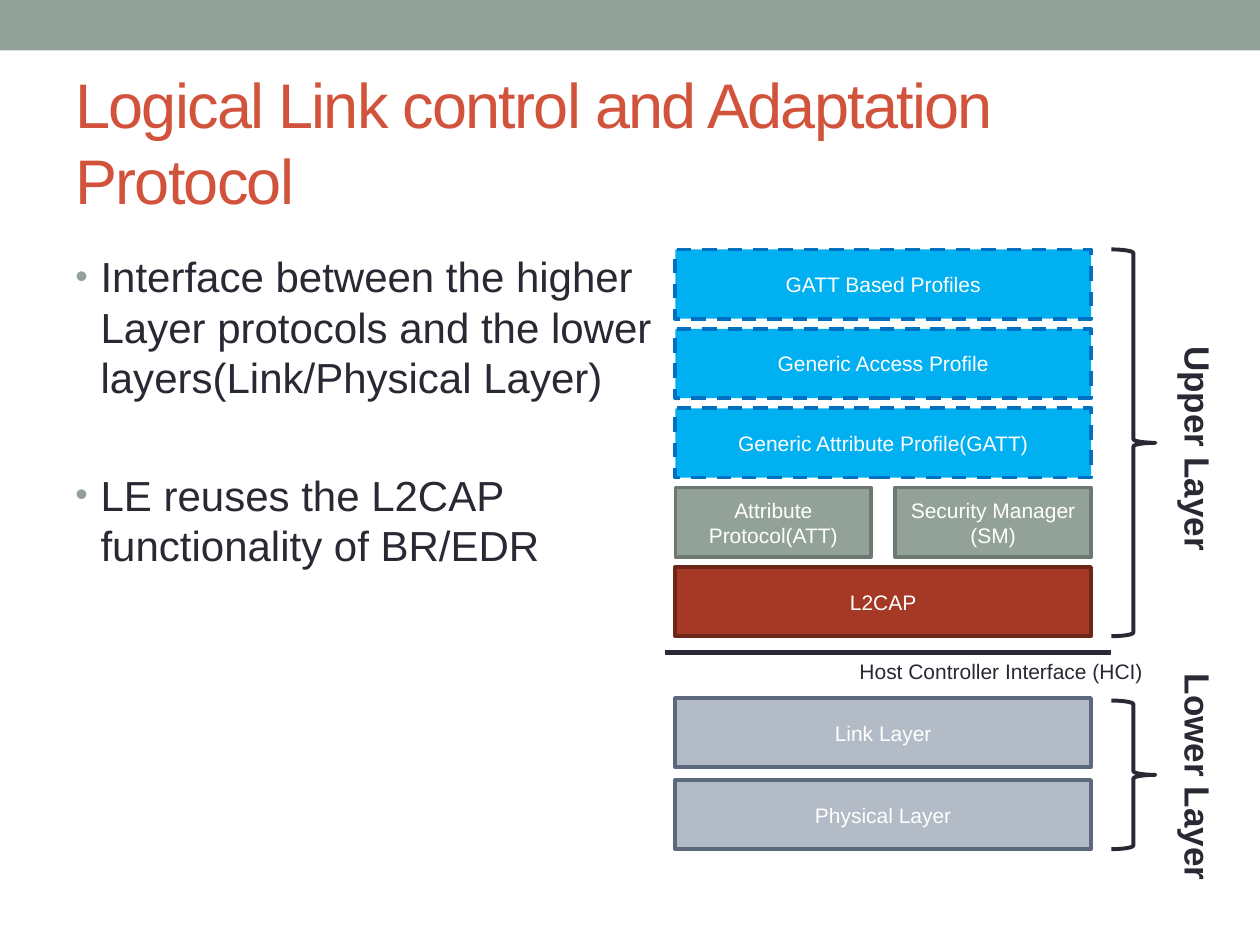
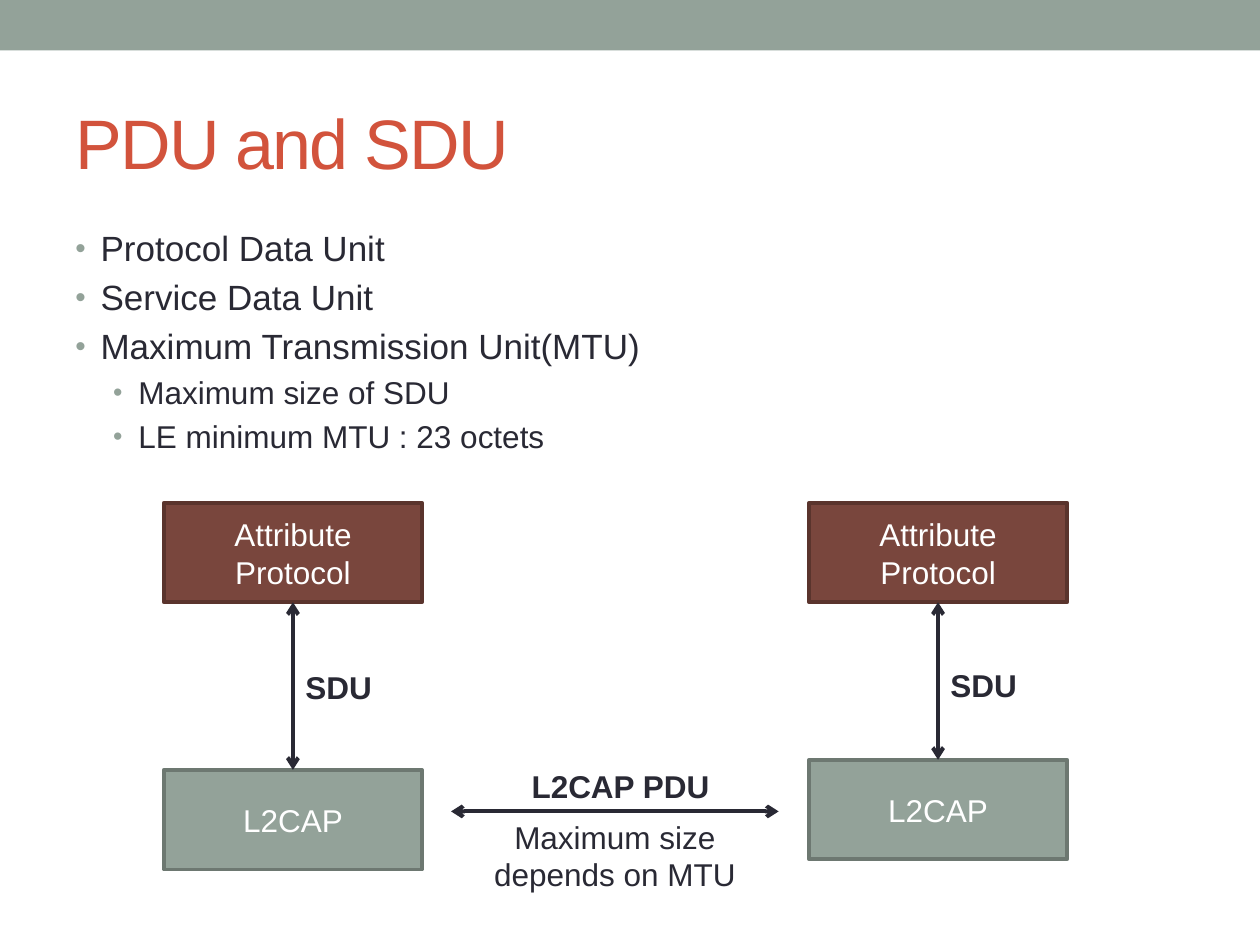
"""Build two slides on the L2CAP layer: the protocol stack, then PDU and SDU."""
from lxml.etree import SubElement
from pptx import Presentation
from pptx.dml.color import RGBColor
from pptx.enum.dml import MSO_LINE
from pptx.enum.shapes import MSO_CONNECTOR as LinkKind, MSO_SHAPE as ShapeKind
from pptx.enum.text import MSO_ANCHOR as Anchor, PP_ALIGN as Align
from pptx.oxml.ns import qn
from pptx.util import Pt

WHITE = RGBColor(0xFF, 0xFF, 0xFF)
INK = RGBColor(0x29, 0x29, 0x34)
SAGE = RGBColor(0x93, 0xA2, 0x99)
SAGE_EDGE = RGBColor(0x6D, 0x78, 0x71)
CORAL = RGBColor(0xD2, 0x53, 0x3C)
SKY = RGBColor(0x00, 0xB0, 0xF0)
SKY_EDGE = RGBColor(0x00, 0x70, 0xC0)
SLATE = RGBColor(0xB3, 0xBB, 0xC6)
SLATE_EDGE = RGBColor(0x5C, 0x69, 0x7C)
BRICK = RGBColor(0xA5, 0x39, 0x26)
BRICK_EDGE = RGBColor(0x6E, 0x26, 0x19)
BROWN = RGBColor(0x79, 0x46, 0x3D)
BROWN_EDGE = RGBColor(0x5A, 0x34, 0x2D)

FONT = "Arial"
EDGE_WIDTH = 2.08
LINK_WIDTH = 2.25
INDENT = 14.4


def set_all(target, values):
    for name, value in values.items():
        setattr(target, name, value)


def write(para, text, size, color, bold=False):
    span = para.add_run()
    span.text = text
    set_all(span.font, {"name": FONT, "size": Pt(size), "bold": bold})
    span.font.color.rgb = color
    return span


def add_text(page, place, text, size, color=INK, align=Align.LEFT, bold=False, anchor=Anchor.TOP):
    box = page.shapes.add_textbox(*map(Pt, place))
    set_all(box.text_frame, {"word_wrap": True, "vertical_anchor": anchor})
    para = box.text_frame.paragraphs[0]
    para.alignment = align
    span = write(para, text, size, color, bold)
    return box, span


def add_vertical_text(page, place, text, size):
    box, _ = add_text(page, place, text, size, bold=True)
    box.text_frame._txBody.bodyPr.set("vert", "eaVert")


def add_bullet(para, level):
    properties = para._p.get_or_add_pPr()
    margin = INDENT + level * 21.6
    properties.set("marL", str(Pt(margin)))
    properties.set("indent", str(-Pt(INDENT)))
    color = SubElement(properties, qn("a:buClr"))
    SubElement(color, qn("a:srgbClr"), val=str(SAGE))
    SubElement(properties, qn("a:buSzPct"), val="85000")
    SubElement(properties, qn("a:buFont"), typeface=FONT)
    SubElement(properties, qn("a:buChar"), char="•")


def add_bullets(page, place, items):
    """Add a bullet list from (text, level, size, space before) items."""
    frame = page.shapes.add_textbox(*map(Pt, place)).text_frame
    frame.word_wrap = True
    for number, (text, level, size, gap) in enumerate(items):
        para = frame.add_paragraph() if number else frame.paragraphs[0]
        set_all(para, {"level": level, "space_before": Pt(gap)})
        add_bullet(para, level)
        write(para, text, size, INK)


def add_box(page, place, text, size, fill, edge, dash=None):
    box = page.shapes.add_shape(ShapeKind.RECTANGLE, *map(Pt, place))
    box.shadow.inherit = False
    box.fill.solid()
    box.fill.fore_color.rgb = fill
    box.line.color.rgb = edge
    set_all(box.line, {"width": Pt(EDGE_WIDTH), "dash_style": dash})
    set_all(box.text_frame, {"word_wrap": True, "vertical_anchor": Anchor.MIDDLE})
    para = box.text_frame.paragraphs[0]
    para.alignment = Align.CENTER
    write(para, text, size, WHITE)


def add_brace(page, place):
    brace = page.shapes.add_shape(ShapeKind.RIGHT_BRACE, *map(Pt, place))
    brace.shadow.inherit = False
    brace.fill.background()
    brace.line.color.rgb = INK
    brace.line.width = Pt(LINK_WIDTH)


def add_line(page, ends, width=LINK_WIDTH, arrows=False):
    link = page.shapes.add_connector(LinkKind.STRAIGHT, *map(Pt, ends))
    link.line.color.rgb = INK
    link.line.width = Pt(width)
    if arrows:
        for end in ("a:headEnd", "a:tailEnd"):
            SubElement(link.line._get_or_add_ln(), qn(end), type="arrow")
    SubElement(link._element.spPr, qn("a:effectLst"))


def start_page(deck, title, size):
    page = deck.slides.add_slide(deck.slide_layouts[6])
    band = page.shapes.add_shape(ShapeKind.RECTANGLE, 0, 0, deck.slide_width, Pt(28.8))
    band.shadow.inherit = False
    band.fill.solid()
    band.fill.fore_color.rgb = SAGE
    band.line.fill.background()
    _, span = add_text(page, (36, 41.76, 648, 77.76), title, size, CORAL, anchor=Anchor.MIDDLE)
    span._r.get_or_add_rPr().set("spc", "-100")
    return page


def add_stack(page):
    left, top, width, height, pitch = 385.92, 142.56, 237.6, 39.6, 45.36
    profiles = ("GATT Based Profiles", "Generic Access Profile", "Generic Attribute Profile(GATT)")
    for row, name in enumerate(profiles):
        place = (left, top + row * pitch, width, height)
        add_box(page, place, name, 12, SKY, SKY_EDGE, MSO_LINE.DASH)
    half = 112
    halves = ((left, "Attribute Protocol(ATT)"), (left + width - half, "Security Manager (SM)"))
    for x, name in halves:
        add_box(page, (x, top + 3 * pitch, half, height), name, 12, SAGE, SAGE_EDGE)
    add_box(page, (left, top + 4 * pitch, width, height), "L2CAP", 12, BRICK, BRICK_EDGE)
    for y, name in ((398.88, "Link Layer"), (445.68, "Physical Layer")):
        add_box(page, (left, y, width, height), name, 12, SLATE, SLATE_EDGE)

    add_line(page, (380.16, 372.96, 635.04, 372.96), 3)
    label = "Host Controller Interface (HCI)"
    add_text(page, (444.96, 372.96, 215.28, 21.6), label, 12, align=Align.RIGHT)
    sides = ((top, 221.04, 190.8, "Upper Layer"), (400.32, 84.96, 378, "Lower Layer"))
    for brace_top, brace_height, label_top, name in sides:
        add_brace(page, (635.04, brace_top, 25.2, brace_height))
        add_vertical_text(page, (661.68, label_top, 38.88, 153.36), name, 20)


def add_exchange(page):
    top, width, height = 287.28, 147.6, 56.88
    for left, lower_top, label_top in ((93.6, 439.92, 378), (462.24, 434.16, 377.28)):
        middle = left + width / 2
        add_box(page, (left, top, width, height), "Attribute Protocol", 18, BROWN, BROWN_EDGE)
        add_box(page, (left, lower_top, width, height), "L2CAP", 18, SAGE, SAGE_EDGE)
        add_line(page, (middle, top + height, middle, lower_top), arrows=True)
        add_text(page, (middle, label_top, 73.44, 28.8), "SDU", 18, bold=True)
    add_line(page, (257.76, 463.68, 444.96, 463.68), arrows=True)
    add_text(page, (286.56, 434.88, 136.08, 28.8), "L2CAP PDU", 18, align=Align.CENTER, bold=True)
    note = "Maximum size depends on MTU"
    add_text(page, (269.28, 463.68, 164.16, 51.12), note, 18, align=Align.CENTER)


def main():
    deck = Presentation()
    set_all(deck, {"slide_width": Pt(720), "slide_height": Pt(540)})

    page = start_page(deck, "Logical Link control and Adaptation Protocol", 36)
    reach = "Interface between the higher Layer protocols and the lower layers(Link/Physical Layer)"
    reuse = "LE reuses the L2CAP functionality of BR/EDR"
    add_bullets(page, (36, 139.68, 344.16, 383.76), [(reach, 0, 24, 4.8), (reuse, 0, 24, 38.4)])
    add_stack(page)

    page = start_page(deck, "PDU and SDU", 40)
    units = ("Protocol Data Unit", "Service Data Unit", "Maximum Transmission Unit(MTU)")
    limits = ("Maximum size of SDU", "LE minimum MTU : 23 octets")
    items = [(text, 0, 20, 4) for text in units] + [(text, 1, 18, 3.6) for text in limits]
    add_bullets(page, (36, 126, 648, 383.76), items)
    add_exchange(page)

    deck.save("out.pptx")


main()
